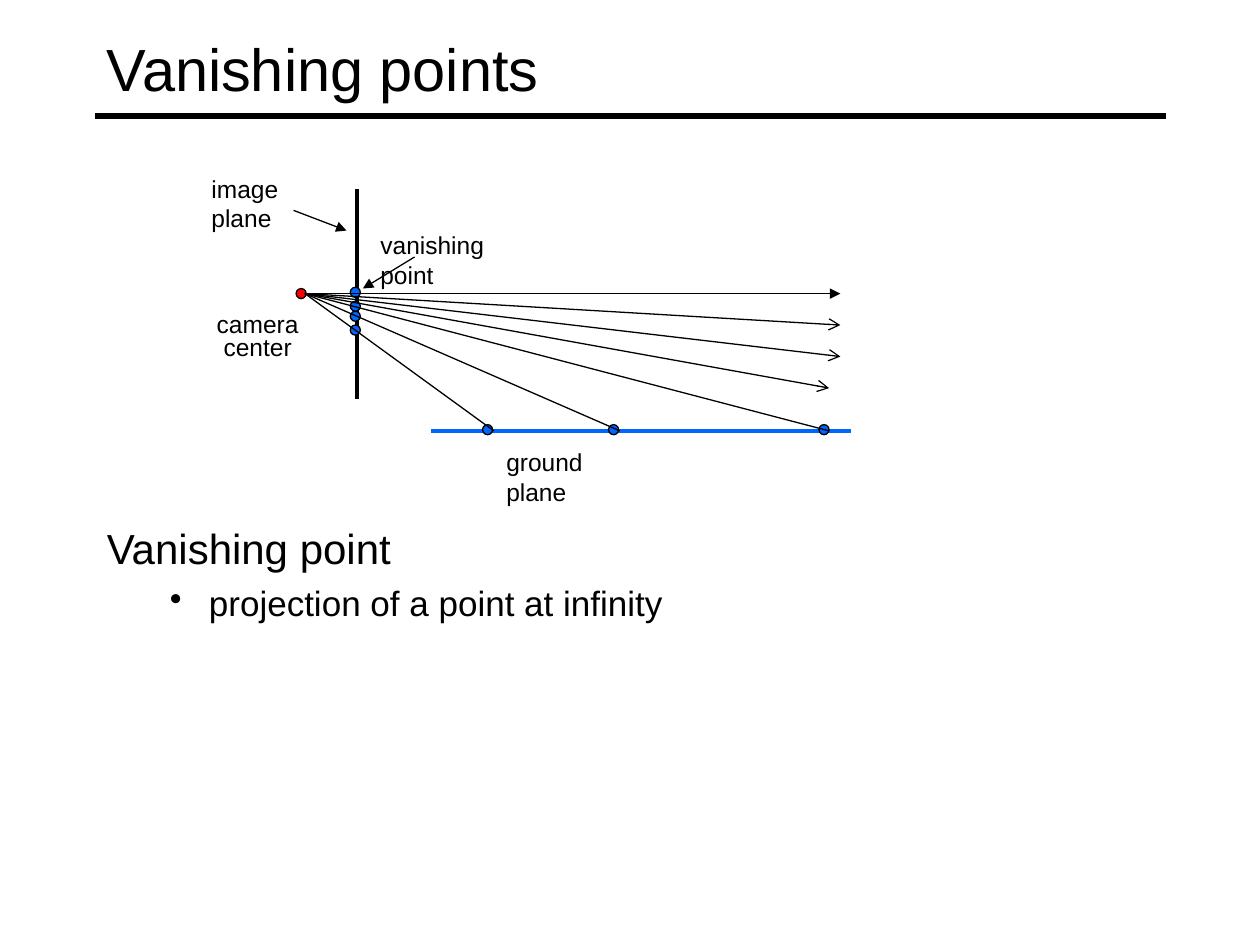
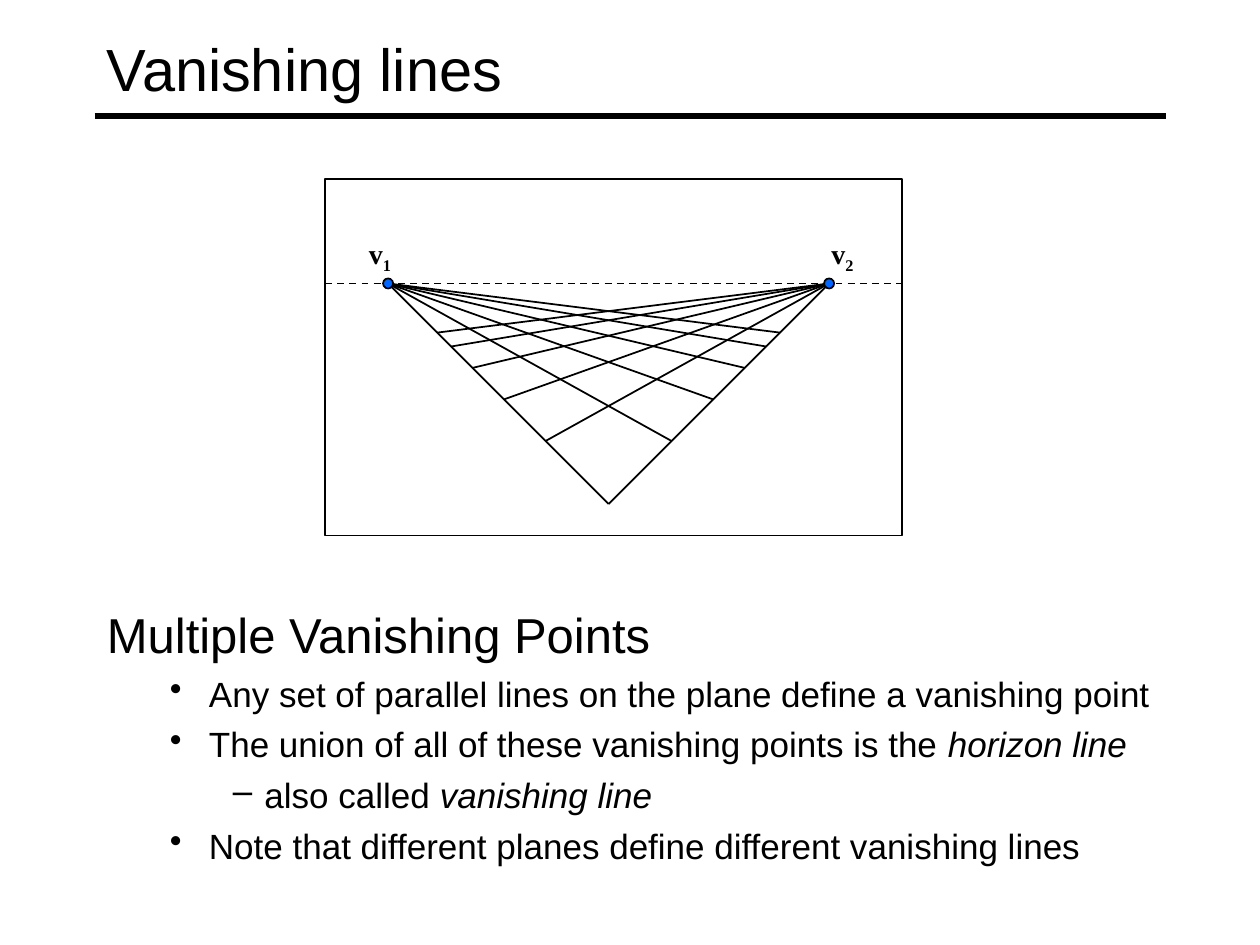
from lxml import etree
from pptx import Presentation
from pptx.dml.color import RGBColor
from pptx.enum.dml import MSO_LINE
from pptx.enum.shapes import MSO_CONNECTOR, MSO_SHAPE
from pptx.enum.text import MSO_ANCHOR, PP_ALIGN
from pptx.oxml.ns import qn
from pptx.util import Inches, Pt

BLACK = RGBColor(0x00, 0x00, 0x00)
BLUE = RGBColor(0x00, 0x66, 0xFF)
RED = RGBColor(0xFF, 0x00, 0x00)
STRAIGHT = MSO_CONNECTOR.STRAIGHT
OVAL, RECT = MSO_SHAPE.OVAL, MSO_SHAPE.RECTANGLE
MIDDLE, CENTER, DASH = MSO_ANCHOR.MIDDLE, PP_ALIGN.CENTER, MSO_LINE.DASH

SANS = {"name": "Arial"}
SERIF = {"name": "Times New Roman", "size": Pt(16), "bold": True}
TITLE = SANS | {"size": Pt(34)}
LABEL = SANS | {"size": Pt(14)}
BULLET = SANS | {"size": Pt(20)}

# Body level: left margin, hanging indent, bullet
LEVELS = [(0.38, -0.38, None), (0.81, -0.31, "•"), (1.25, -0.25, "–")]

# Body rows: level, then plain and italic text in turn
POINT_BODY = [
    (0, "Vanishing point"),
    (1, "projection of a point at infinity"),
]
LINE_BODY = [
    (0, "Multiple Vanishing Points"),
    (1, "Any set of parallel lines on the plane define a vanishing point"),
    (1, "The union of all of these vanishing points is the ", "horizon line"),
    (2, "also called ", "vanishing line"),
    (1, "Note that different planes define different vanishing lines"),
]

# Camera view: the rays leave one eye
EYE = (2.42, 2.33)
CAMERA = (2.39, 2.33)
PLANE_X = 2.82
GROUND_Y = 3.41
PLANE_DOTS = [2.62, 2.51, 2.43, 2.32]
GROUND_DOTS = [3.87, 4.87, 6.54]
RAYS = [
    (6.67, 2.33, "triangle"), (6.58, 3.08, "arrow"), (6.67, 2.83, "arrow"),
    (6.67, 2.58, "arrow"), (6.58, 3.42, None), (4.92, 3.42, None),
    (3.92, 3.42, None),
]
TAGS = [
    ("image plane", (1.58, 1.33, 1.26, 0.33)),
    ("ground plane", (3.92, 3.5, 1.33, 0.33)),
    ("vanishing point", (2.92, 1.78, 1.49, 0.33)),
]
POINTERS = [((2.33, 1.67), (2.75, 1.83)), ((3.29, 2.04), (2.88, 2.29))]

# Plane in perspective: both fans mirror about MID and end on the outer edges
FRAME = (2.58, 1.42, 4.58, 2.83)
MID, REACH, HORIZON, TIP = 4.83, 1.75, 2.25, 4
FAN = [4, 3.5, 3.17, 2.92, 2.75, 2.64]


def style(target, values):
    for key, value in values.items():
        setattr(target, key, value)


def add_run(para, text, font):
    run = para.add_run()
    run.text = text
    style(run.font, font)
    run.font.color.rgb = BLACK
    return run


def add_box(slide, place, **frame):
    box = slide.shapes.add_textbox(*map(Inches, place)).text_frame
    style(box, {"word_wrap": True} | frame)
    return box


def add_line(slide, start, end, width=0.75, color=BLACK, head=None, dash=None):
    line = slide.shapes.add_connector(STRAIGHT, *map(Inches, start + end))
    line.line.color.rgb = color
    line.line.width = Pt(width)
    if dash:
        line.line.dash_style = dash
    if head:
        tail = etree.SubElement(line.line._get_or_add_ln(), qn("a:tailEnd"))
        tail.set("type", head)
    etree.SubElement(line._element.spPr, qn("a:effectLst"))


def add_shape(slide, kind, place, fill=None, width=0.75):
    shape = slide.shapes.add_shape(kind, *map(Inches, place))
    shape.shadow.inherit = False
    if fill is None:
        shape.fill.background()
    else:
        shape.fill.solid()
        shape.fill.fore_color.rgb = fill
    shape.line.color.rgb = BLACK
    shape.line.width = Pt(width)


def add_dot(slide, x, y, fill=BLUE, width=0.75):
    """Draw a small disc centred on x, y."""
    add_shape(slide, OVAL, (x - 0.04, y - 0.04, 0.08, 0.08), fill, width)


def add_body(slide, rows, place, size):
    box = add_box(slide, place)
    for i, (level, *parts) in enumerate(rows):
        para = box.paragraphs[0] if i == 0 else box.add_paragraph()
        left, hang, mark = LEVELS[level]
        props = para._p.get_or_add_pPr()
        props.set("marL", str(Inches(left)))
        props.set("indent", str(Inches(hang)))
        if mark:
            etree.SubElement(props, qn("a:buChar")).set("char", mark)
        if i:
            para.space_before = Pt(5)
        font = BULLET if level else SANS | {"size": Pt(size)}
        for j, text in enumerate(parts):
            add_run(para, text, font | {"italic": j % 2 == 1})


def new_slide(deck, title):
    slide = deck.slides.add_slide(deck.slide_layouts[6])
    add_line(slide, (0.75, 0.92), (9.25, 0.92), 3)
    box = add_box(slide, (0.75, 0.08, 8.5, 0.92), vertical_anchor=MIDDLE)
    add_run(box.paragraphs[0], title, TITLE)
    return slide


def draw_points(deck):
    slide = new_slide(deck, "Vanishing points")
    add_body(slide, POINT_BODY, (0.75, 4.1, 8.5, 2.65), 24)
    add_line(slide, (2.83, 1.5), (2.83, 3.17), 2.25)
    add_line(slide, (3.42, 3.42), (6.75, 3.42), 2.25, BLUE)
    add_dot(slide, *CAMERA, RED)
    for y in PLANE_DOTS:
        add_dot(slide, PLANE_X, y)
    for x in GROUND_DOTS:
        add_dot(slide, x, GROUND_Y)
    for text, place in TAGS:
        box = add_box(slide, place, margin_right=Inches(0.3))
        add_run(box.paragraphs[0], text, LABEL)
    box = add_box(slide, (1.62, 2.4, 0.85, 0.52), word_wrap=False)
    for para, text in ((box.paragraphs[0], "camera"),
                       (box.add_paragraph(), "center")):
        para.alignment = CENTER
        add_run(para, text, LABEL)
    box.paragraphs[1].line_spacing = 0.8
    for start, end in POINTERS:
        add_line(slide, start, end, head="triangle")
    for x, y, head in RAYS:
        add_line(slide, EYE, (x, y), head=head)


def draw_lines(deck):
    slide = new_slide(deck, "Vanishing lines")
    add_body(slide, LINE_BODY, (0.75, 4.75, 8.58, 2.33), 28)
    add_shape(slide, RECT, FRAME)
    left, _, width, _ = FRAME
    add_line(slide, (left, HORIZON), (left + width, HORIZON), 1, dash=DASH)
    sides = [("1", 1, 2.83), ("2", -1, 6.5)]
    for _, side, _ in sides:
        for y in FAN:
            end = (MID + side * (TIP - y), y)
            add_line(slide, (MID - side * REACH, HORIZON), end, 1)
    for digit, side, x in sides:
        add_dot(slide, MID - side * REACH, HORIZON, width=1)
        para = add_box(slide, (x, 1.83, 0.42, 0.37)).paragraphs[0]
        add_run(para, "v", SERIF)
        sub = add_run(para, digit, SERIF)
        sub._r.get_or_add_rPr().set("baseline", "-25000")


def main():
    deck = Presentation()
    deck.slide_width, deck.slide_height = Inches(10), Inches(7.5)
    draw_points(deck)
    draw_lines(deck)
    deck.save("out.pptx")


if __name__ == "__main__":
    main()
